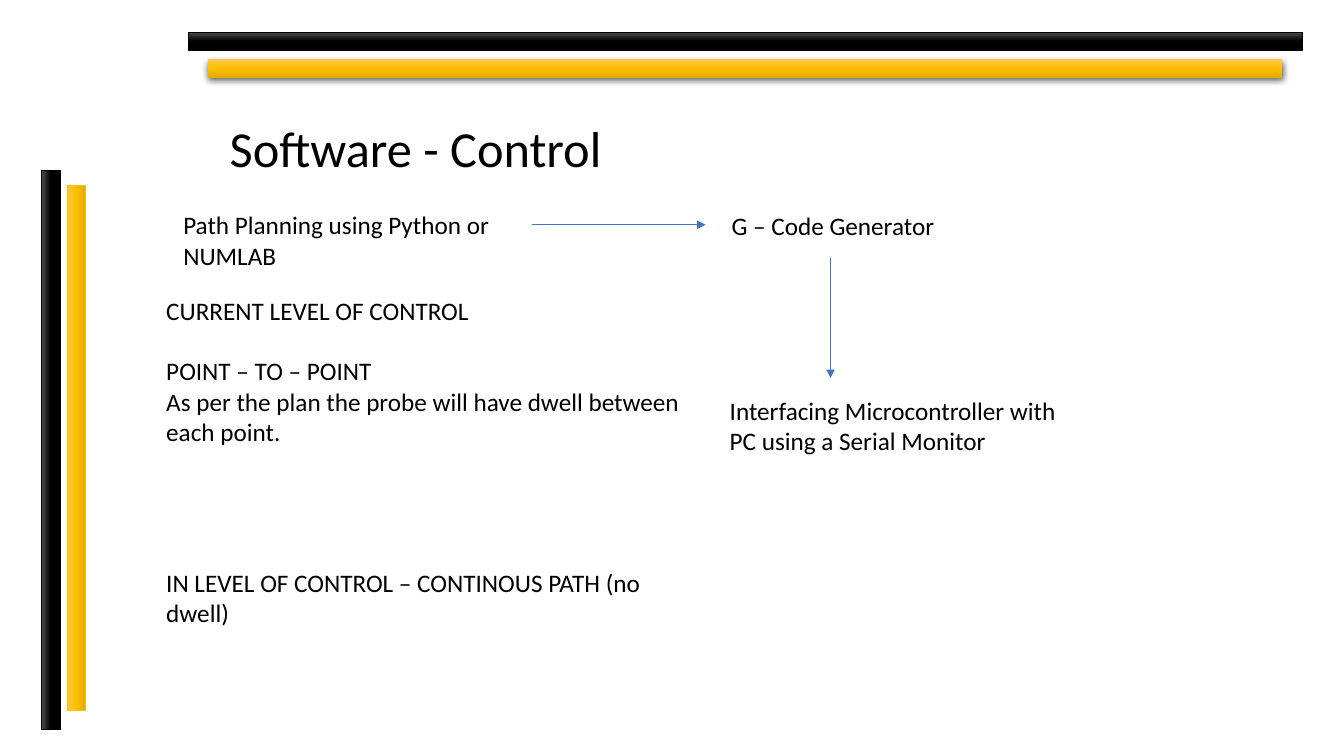
from copy import deepcopy
from lxml.etree import SubElement as Sub
from pptx import Presentation
from pptx.dml.color import RGBColor as Rgb
from pptx.enum.shapes import MSO_CONNECTOR as Link, MSO_SHAPE as Form
from pptx.enum.text import MSO_AUTO_SIZE as Fit
from pptx.oxml.ns import qn
from pptx.util import Inches, Pt

INK = {"black": "000000", "gold": "FFC000", "blue": "4472C4"}
FADE = {"black": ["4B4B4B", "000000", "000000"], "gold": ["FFC64B", "FFC000", "E3AB00"]}
FONT = "Calibri"
BODY = 18
LINE = 21.6
THICK = 2.4

deck = Presentation()
deck.slide_width, deck.slide_height = Inches(13.33), Inches(7.5)
slide = deck.slides.add_slide(deck.slide_layouts[6])
shapes = slide.shapes


def area(x, y, w, h):
    wide, high = deck.slide_width / 100, deck.slide_height / 100
    return int(x * wide), int(y * high), int(w * wide), int(h * high)


def write(place, lines, size=BODY, wrap=True):
    frame = shapes.add_textbox(*area(*place)).text_frame
    frame.word_wrap = wrap
    frame.auto_size = Fit.SHAPE_TO_FIT_TEXT
    frame.text = "\n".join(text for text, gap in lines)
    for para, (text, gap) in zip(frame.paragraphs, lines):
        para.space_before = Pt(gap * LINE)
        font = para.runs[0].font
        font.name, font.size = FONT, Pt(size)
        font.color.rgb = Rgb.from_string(INK["black"])


bars = [
    (14.03, 4.27, 82.9, "black", 0, False),
    (-13.88, 58, 39.08, "gold", 270, False),
    (-17.03, 58.27, 41.63, "black", 270, False),
    (15.45, 7.87, 79.97, "gold", 0, True),
]
for x, y, w, hue, turn, raised in bars:
    bar = shapes.add_shape(Form.RECTANGLE, *area(x, y, w, THICK))
    bar.rotation = turn
    bar.shadow.inherit = False
    bar.fill.gradient()
    bar.fill.gradient_angle = 270
    stops = bar._element.spPr.find(".//" + qn("a:gsLst"))
    stops.append(deepcopy(stops[0]))
    for i, stop in enumerate(bar.fill.gradient_stops):
        stop.position = i / 2
        stop.color.rgb = Rgb.from_string(FADE[hue][i])
    if raised:
        bar.line.fill.background()
        glow = Sub(bar._element.spPr.find(qn("a:effectLst")), qn("a:outerShdw"),
                   blurRad=str(Pt(4.5)), dist=str(Pt(1.5)), dir="5400000", rotWithShape="0")
        tint = Sub(glow, qn("a:srgbClr"), val=INK["black"])
        Sub(tint, qn("a:alpha"), val="63000")
    else:
        bar.line.color.rgb = Rgb.from_string(INK[hue])
        bar.line.width = Pt(0.5)

write((16.35, 14.8, 29.55, 9.47), [("Software - Control", 0)], 36, False)
write((12.9, 27.07, 26.93, 9.47), [("Path Planning using Python or NUMLAB", 0)])
write((53.7, 27.2, 23.93, 5.33), [("G – Code Generator", 0)])

for ends in [(39.6, 29.73, 52.5, 29.73), (61.8, 34.13, 61.8, 50)]:
    arrow = shapes.add_connector(Link.STRAIGHT, *area(*ends))
    arrow.line.color.rgb = Rgb.from_string(INK["blue"])
    arrow.line.width = Pt(0.5)
    Sub(arrow.line._get_or_add_ln(), qn("a:tailEnd"), type="triangle")
    Sub(arrow._element.spPr, qn("a:effectLst"))

write((53.56, 51.6, 26.7, 9.47),
      [("Interfacing Microcontroller with PC using a Serial Monitor", 0)])
write((11.63, 38.4, 40.88, 49.87), [
    ("CURRENT LEVEL OF CONTROL", 0),
    ("POINT – TO – POINT", 1),
    ("As per the plan the probe will have dwell between each point.", 0),
    ("IN LEVEL OF CONTROL – CONTINOUS PATH (no dwell)", 4),
])

deck.save("out.pptx")
